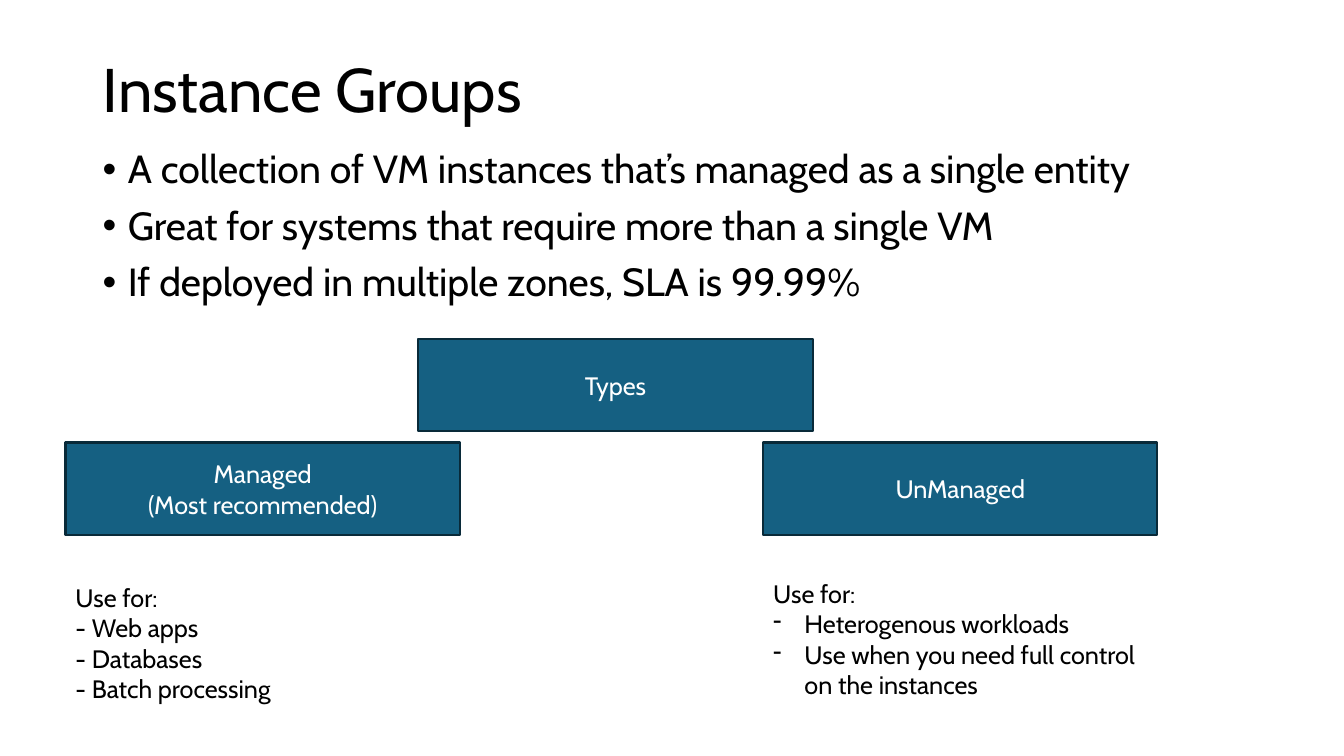
"""Build the Instance Groups slide."""
from dataclasses import dataclass
from typing import Optional

from lxml import etree
from pptx import Presentation
from pptx import util as u
from pptx.dml.color import RGBColor
from pptx.enum import shapes, text
from pptx.oxml.ns import qn


@dataclass(frozen=True)
class Theme:
    font: str = "Cabin"
    ink: RGBColor = RGBColor(0x00, 0x00, 0x00)
    box_text: RGBColor = RGBColor(0xFF, 0xFF, 0xFF)
    box_fill: RGBColor = RGBColor(0x15, 0x60, 0x82)
    box_line: RGBColor = RGBColor(0x09, 0x2A, 0x39)
    title_size: int = 44
    body_size: int = 28
    label_size: int = 18


@dataclass(frozen=True)
class Area:
    left: float
    top: float
    width: float
    height: float

    def lengths(self) -> tuple[u.Length, ...]:
        return tuple(u.Inches(n) for n in (self.left, self.top, self.width, self.height))


@dataclass(frozen=True)
class Line:
    words: str
    bullet: Optional[str] = None


@dataclass(frozen=True)
class TypeBox:
    left: float
    top: float
    lines: list[Line]


@dataclass(frozen=True)
class TextBlock:
    area: Area
    lines: list[Line]
    size: int
    indent: float = 0
    line_spacing: float = 1.0
    space_before: int = 0


THEME = Theme()
BOX_WIDTH, BOX_HEIGHT = 3.91, 0.92
MANAGED_LEFT, UNMANAGED_LEFT = 0.65, 7.57
TYPES_TOP, KINDS_TOP = 3.36, 4.39
TITLE_AREA = Area(0.92, 0.4, 11.5, 1.04)

TYPE_BOXES = [
    TypeBox(4.15, TYPES_TOP, [Line("Types")]),
    TypeBox(UNMANAGED_LEFT, KINDS_TOP, [Line("UnManaged")]),
    TypeBox(MANAGED_LEFT, KINDS_TOP, [Line("Managed"), Line("(Most recommended)")]),
]

TEXT_BLOCKS = [
    TextBlock(
        Area(0.92, 1.44, 11.5, 4.76),
        [
            Line("A collection of VM instances that’s managed as a single entity", "•"),
            Line("Great for systems that require more than a single VM", "•"),
            Line("If deployed in multiple zones, SLA is 99.99%", "•"),
        ],
        THEME.body_size, indent=0.25, line_spacing=0.9, space_before=10,
    ),
    TextBlock(
        Area(MANAGED_LEFT, 5.73, BOX_WIDTH, 1.31),
        [Line("Use for:"), Line("- Web apps"), Line("- Databases"), Line("- Batch processing")],
        THEME.label_size,
    ),
    TextBlock(
        Area(UNMANAGED_LEFT, 5.69, BOX_WIDTH, 1.31),
        [
            Line("Use for:"),
            Line("Heterogenous workloads", "-"),
            Line("Use when you need full control on the instances", "-"),
        ],
        THEME.label_size, indent=0.31,
    ),
]


def set_font(paragraph, size: int, color: RGBColor) -> None:
    paragraph.font.name = THEME.font
    paragraph.font.size = u.Pt(size)
    paragraph.font.color.rgb = color


def add_bullet(paragraph, character: str, indent: float) -> None:
    properties = paragraph._p.get_or_add_pPr()
    properties.set("marL", str(u.Inches(indent)))
    properties.set("indent", str(u.Inches(-indent)))
    if character == "•":
        etree.SubElement(properties, qn("a:buFont")).set("typeface", "Arial")
    etree.SubElement(properties, qn("a:buChar")).set("char", character)


def write_lines(frame, block: TextBlock, color: RGBColor, alignment) -> None:
    for index, line in enumerate(block.lines):
        paragraph = frame.add_paragraph() if index else frame.paragraphs[0]
        paragraph.text = line.words
        paragraph.alignment = alignment
        paragraph.line_spacing = block.line_spacing
        paragraph.space_before = u.Pt(block.space_before if index else 0)
        if line.bullet:
            add_bullet(paragraph, line.bullet, block.indent)
        set_font(paragraph, block.size, color)


def format_title(title) -> None:
    title.left, title.top, title.width, title.height = TITLE_AREA.lengths()
    frame = title.text_frame
    frame.auto_size = text.MSO_AUTO_SIZE.NONE
    frame.vertical_anchor = text.MSO_ANCHOR.MIDDLE
    block = TextBlock(TITLE_AREA, [Line("Instance Groups")], THEME.title_size, line_spacing=0.9)
    write_lines(frame, block, THEME.ink, text.PP_ALIGN.LEFT)


def add_text_block(slide, block: TextBlock) -> None:
    frame = slide.shapes.add_textbox(*block.area.lengths()).text_frame
    frame.word_wrap = True
    write_lines(frame, block, THEME.ink, text.PP_ALIGN.LEFT)


def add_type_box(slide, box: TypeBox) -> None:
    area = Area(box.left, box.top, BOX_WIDTH, BOX_HEIGHT)
    shape = slide.shapes.add_shape(shapes.MSO_SHAPE.RECTANGLE, *area.lengths())
    shape.shadow.inherit = False
    shape.fill.solid()
    shape.fill.fore_color.rgb = THEME.box_fill
    shape.line.color.rgb = THEME.box_line
    shape.line.width = u.Pt(1.5)
    shape.text_frame.vertical_anchor = text.MSO_ANCHOR.MIDDLE
    block = TextBlock(area, box.lines, THEME.label_size)
    write_lines(shape.text_frame, block, THEME.box_text, text.PP_ALIGN.CENTER)


def main() -> None:
    presentation = Presentation()
    presentation.slide_width = u.Inches(13.33)
    presentation.slide_height = u.Inches(7.5)
    slide = presentation.slides.add_slide(presentation.slide_layouts.get_by_name("Title Only"))
    format_title(slide.shapes.title)
    for box in TYPE_BOXES:
        add_type_box(slide, box)
    for block in TEXT_BLOCKS:
        add_text_block(slide, block)
    presentation.save("out.pptx")


if __name__ == "__main__":
    main()
